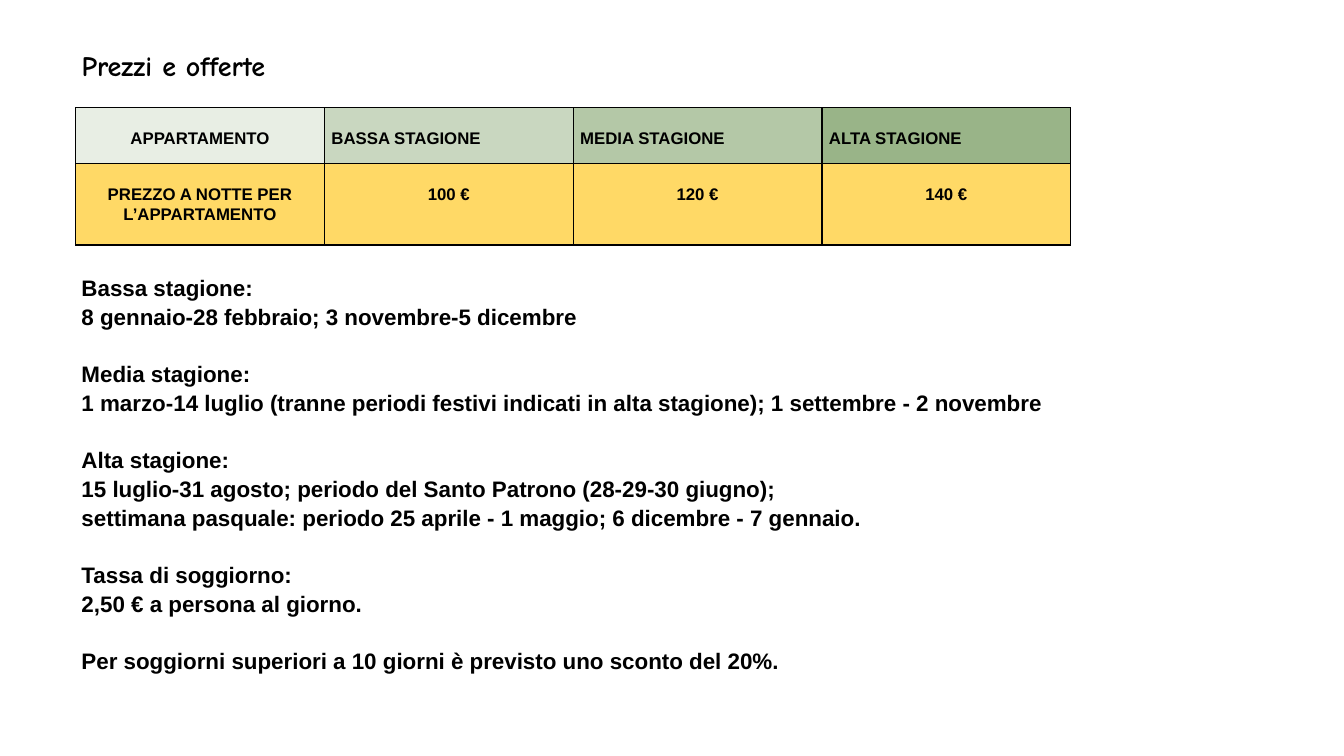
from dataclasses import dataclass

from lxml.etree import SubElement
from pptx import Presentation
from pptx.dml.color import RGBColor
from pptx.enum.text import MSO_ANCHOR, MSO_AUTO_SIZE, PP_ALIGN
from pptx.oxml.ns import qn
from pptx.util import Inches, Pt

TITLE = "Prezzi e offerte"

SEASONS = [
    ("APPARTAMENTO", "PREZZO A NOTTE PER L’APPARTAMENTO", 13),
    ("BASSA STAGIONE", "100 €", 31),
    ("MEDIA STAGIONE", "120 €", 43),
    ("ALTA STAGIONE", "140 €", 59),
]

NOTES = [
    ["Bassa stagione:", "8 gennaio-28 febbraio; 3 novembre-5 dicembre"],
    [
        "Media stagione:",
        "1 marzo-14 luglio (tranne periodi festivi indicati in alta stagione); 1 settembre - 2 novembre",
    ],
    [
        "Alta stagione:",
        "15 luglio-31 agosto; periodo del Santo Patrono (28-29-30 giugno);",
        "settimana pasquale: periodo 25 aprile - 1 maggio; 6 dicembre - 7 gennaio.",
    ],
    ["Tassa di soggiorno:", "2,50 € a persona al giorno."],
    ["Per soggiorni superiori a 10 giorni è previsto uno sconto del 20%."],
]


@dataclass(frozen=True)
class Theme:
    ink: str = "000000"
    season: str = "538135"
    price: str = "FFD966"
    title_font: str = "Comic Neue"
    body_font: str = "Arial"
    title_size: int = 20
    body_size: int = 16
    table_size: int = 12
    line_spacing: float = 1.07
    group_gap: float = 20.5


THEME = Theme()
TABLE_LEFT, TABLE_TOP, TABLE_WIDTH = 0.75, 1.07, 9.87
ROW_HEIGHTS = [0.55, 0.81]
TEXT_LEFT = 0.71


def write(para, text, font, size, align):
    para.alignment = align
    para.line_spacing = THEME.line_spacing
    span = para.add_run()
    span.text = text
    span.font.name = font
    span.font.size = Pt(size)
    span.font.bold = True
    span.font.color.rgb = RGBColor.from_string(THEME.ink)


def add_borders(cell):
    properties = cell._tc.get_or_add_tcPr()
    for side in ("a:lnL", "a:lnR", "a:lnT", "a:lnB"):
        line = SubElement(properties, qn(side), w=str(Pt(1)))
        SubElement(SubElement(line, qn("a:solidFill")), qn("a:srgbClr"), val=THEME.ink)


def fill_cell(cell, text, align, color, opacity=100):
    cell.margin_left = cell.margin_right = Inches(0.07)
    cell.margin_top = Inches(0.2)
    cell.margin_bottom = 0
    write(cell.text_frame.paragraphs[0], text, THEME.body_font, THEME.table_size, align)
    add_borders(cell)
    cell.fill.solid()
    cell.fill.fore_color.rgb = RGBColor.from_string(color)
    if opacity < 100:
        tint = cell._tc.tcPr.find(qn("a:solidFill")).find(qn("a:srgbClr"))
        SubElement(tint, qn("a:alpha"), val=str(opacity * 1000))


def add_title(page):
    title = page.shapes.title
    title.left, title.top = Inches(TEXT_LEFT), Inches(0.41)
    title.width, title.height = Inches(2.43), Inches(0.44)
    frame = title.text_frame
    frame.auto_size = MSO_AUTO_SIZE.NONE
    frame.vertical_anchor = MSO_ANCHOR.TOP
    frame.word_wrap = True
    write(frame.paragraphs[0], TITLE, THEME.title_font, THEME.title_size, PP_ALIGN.LEFT)


def add_prices(page):
    table = page.shapes.add_table(
        len(ROW_HEIGHTS), len(SEASONS), Inches(TABLE_LEFT), Inches(TABLE_TOP),
        Inches(TABLE_WIDTH), Inches(sum(ROW_HEIGHTS)),
    ).table
    table.first_row = table.horz_banding = False
    for row, height in zip(table.rows, ROW_HEIGHTS):
        row.height = Inches(height)
    for index, (season, price, opacity) in enumerate(SEASONS):
        align = PP_ALIGN.JUSTIFY if index else PP_ALIGN.CENTER
        fill_cell(table.cell(0, index), season, align, THEME.season, opacity)
        fill_cell(table.cell(1, index), price, PP_ALIGN.CENTER, THEME.price)


def add_notes(page):
    box = page.shapes.add_textbox(Inches(TEXT_LEFT), Inches(2.65), Inches(9.99), Inches(4.13))
    frame = box.text_frame
    frame.word_wrap = True
    for group_index, group in enumerate(NOTES):
        for line_index, text in enumerate(group):
            first = group_index == line_index == 0
            para = frame.paragraphs[0] if first else frame.add_paragraph()
            write(para, text, THEME.body_font, THEME.body_size, PP_ALIGN.LEFT)
            if group_index and line_index == 0:
                para.space_before = Pt(THEME.group_gap)


def main():
    deck = Presentation()
    deck.slide_width, deck.slide_height = Inches(13.33), Inches(7.5)
    page = deck.slides.add_slide(deck.slide_layouts[5])
    add_title(page)
    add_prices(page)
    add_notes(page)
    deck.save("out.pptx")


if __name__ == "__main__":
    main()
